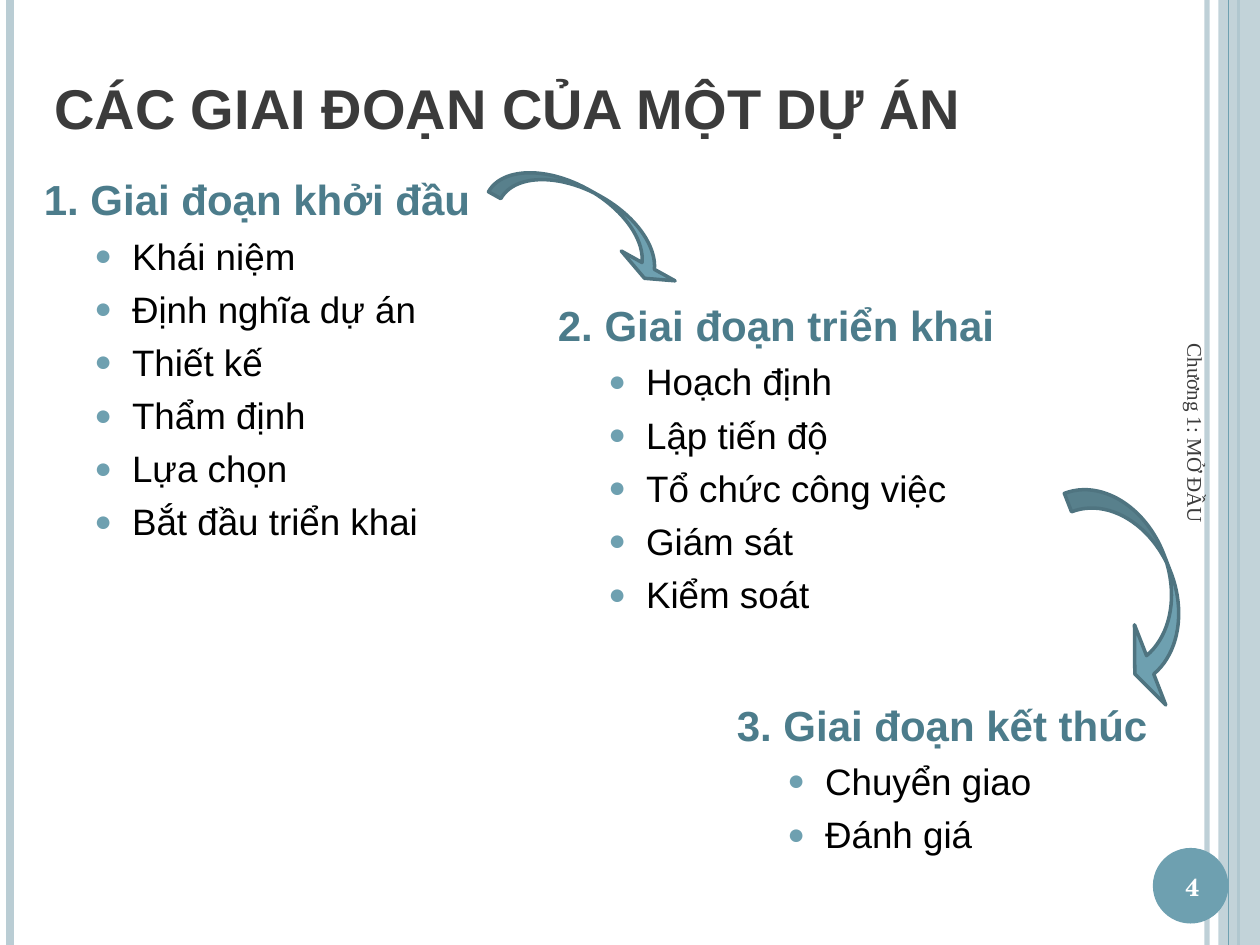
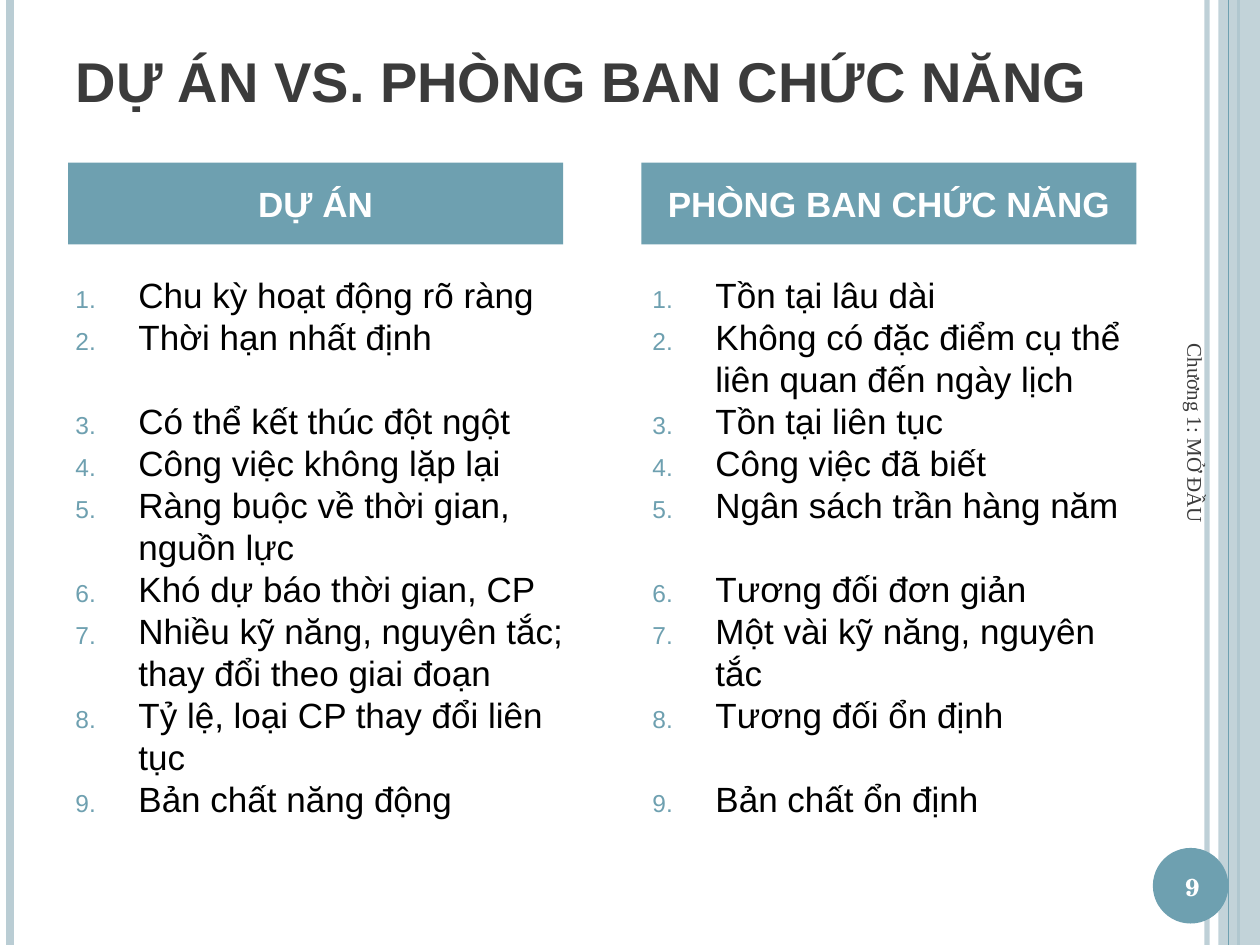
import pptx
import pptx.dml.color
import pptx.enum.shapes
import pptx.enum.text
import pptx.oxml
import pptx.oxml.ns
import pptx.util
from lxml import etree

Inches = pptx.util.Inches
Pt = pptx.util.Pt
RGBColor = pptx.dml.color.RGBColor
MSO_SHAPE = pptx.enum.shapes.MSO_SHAPE
ANCHOR = pptx.enum.text.MSO_ANCHOR
ALIGN = pptx.enum.text.PP_ALIGN
qn = pptx.oxml.ns.qn

TEAL = RGBColor(0x6E, 0xA0, 0xB0)
DARK_TEAL = RGBColor(0x4C, 0x7C, 0x8B)
ARROW_EDGE = RGBColor(0x4F, 0x74, 0x80)
PALE_BLUE = RGBColor(0xBA, 0xCD, 0xD4)
CHARCOAL = RGBColor(0x3B, 0x3B, 0x3B)
BLACK = RGBColor(0, 0, 0)
WHITE = RGBColor(0xFF, 0xFF, 0xFF)

CHAPTER = "Chương 1: MỞ ĐẦU"

PHASES_TITLE = "CÁC GIAI ĐOẠN CỦA MỘT DỰ ÁN"
PHASES = [
    ("1. Giai đoạn khởi đầu", (0.25, 1.33, 4, 5.25),
     ["Khái niệm", "Định nghĩa dự án", "Thiết kế", "Thẩm định", "Lựa chọn", "Bắt đầu triển khai"]),
    ("2. Giai đoạn triển khai", (4.33, 2.33, 4, 2.83),
     ["Hoạch định", "Lập tiến độ", "Tổ chức công việc", "Giám sát", "Kiểm soát"]),
    ("3. Giai đoạn kết thúc", (5.75, 5.5, 3.67, 1.92),
     ["Chuyển giao", "Đánh giá"]),
]
PHASE_ARROWS = [((4.5, 0.92, 0.4, 1.66), 299), ((8.77, 3.75, 0.56, 1.88), 338.7)]
ARROW_ADJUSTMENTS = (0.28, 1.22, 0.25)

COMPARISON_TITLE = "DỰ ÁN VS. PHÒNG BAN CHỨC NĂNG"
COMPARISON = [
    {"heading": "DỰ ÁN", "heading_left": 0.54, "list_box": (0.5, 2.12, 4.08, 4.8),
     "gap_before": {3},
     "items": ["Chu kỳ hoạt động rõ ràng", "Thời hạn nhất định", "Có thể kết thúc đột ngột",
               "Công việc không lặp lại", "Ràng buộc về thời gian, nguồn lực",
               "Khó dự báo thời gian, CP", "Nhiều kỹ năng, nguyên tắc; thay đổi theo giai đoạn",
               "Tỷ lệ, loại CP thay đổi liên tục", "Bản chất năng động"]},
    {"heading": "PHÒNG BAN CHỨC NĂNG", "heading_left": 5.09, "list_box": (5.08, 2.12, 4, 4.8),
     "gap_before": {6, 9},
     "items": ["Tồn tại lâu dài", "Không có đặc điểm cụ thể liên quan đến ngày lịch",
               "Tồn tại liên tục", "Công việc đã biết", "Ngân sách trần hàng năm",
               "Tương đối đơn giản", "Một vài kỹ năng, nguyên tắc",
               "Tương đối ổn định", "Bản chất ổn định"]},
]
LIST_LINE = Pt(24)


def inches(box):
    return [Inches(length) for length in box]


def style_runs(paragraph, size, color, bold=False, name="Arial"):
    for run in paragraph.runs:
        run.font.name = name
        run.font.size = Pt(size)
        run.font.bold = bold
        run.font.color.rgb = color


def set_indent(paragraph, margin, hanging):
    properties = paragraph._p.get_or_add_pPr()
    properties.set("marL", str(Inches(margin)))
    properties.set("indent", str(-Inches(hanging)))
    return properties


def add_bullet(properties, percent, tag, **attributes):
    color = etree.SubElement(properties, qn("a:buClr"))
    etree.SubElement(color, qn("a:srgbClr"), val=str(TEAL))
    etree.SubElement(properties, qn("a:buSzPct"), val=str(percent * 1000))
    etree.SubElement(properties, qn("a:buFont"), typeface="Arial")
    etree.SubElement(properties, qn(tag), **attributes)


def set_opacity(element, percent):
    color = next(element.iter(qn("a:srgbClr")))
    etree.SubElement(color, qn("a:alpha"), val=str(percent * 1000))


def add_rule(slide, left, color, width):
    rule = slide.shapes.add_connector(
        pptx.enum.shapes.MSO_CONNECTOR.STRAIGHT, Inches(left), 0, Inches(left), Inches(7.5))
    rule.line.color.rgb = color
    rule.line.width = Pt(width)
    etree.SubElement(rule._element.spPr, qn("a:effectLst"))
    return rule


def add_filled(slide, kind, box, edge=None):
    shape = slide.shapes.add_shape(kind, *inches(box))
    shape.shadow.inherit = False
    shape.fill.solid()
    shape.fill.fore_color.rgb = TEAL
    if edge is None:
        shape.line.fill.background()
    else:
        shape.line.color.rgb = edge
        shape.line.width = Pt(2)
    return shape


def add_text_box(slide, box, anchor=ANCHOR.TOP):
    text_box = slide.shapes.add_textbox(*inches(box))
    text_box.text_frame.word_wrap = True
    text_box.text_frame.vertical_anchor = anchor
    return text_box


def add_paragraphs(text_frame, texts):
    text_frame.text = "\n".join(texts)
    return text_frame.paragraphs


def add_base_slide(presentation, title_text, title_box, number):
    slide = presentation.slides.add_slide(presentation.slide_layouts[5])
    set_opacity(add_rule(slide, 9.58, PALE_BLUE, 3)._element, 93)
    add_rule(slide, 0.08, PALE_BLUE, 4.5)
    add_rule(slide, 9.83, TEAL, 1.5)
    band = add_filled(slide, MSO_SHAPE.RECTANGLE, (9.67, 0, 0.33, 7.5))
    band.fill.fore_color.rgb = PALE_BLUE
    set_opacity(band._element, 87)
    add_rule(slide, 9.75, TEAL, 0.75)
    add_filled(slide, MSO_SHAPE.OVAL, (9.15, 6.73, 0.6, 0.6))

    title = slide.shapes.title
    title.left, title.top, title.width, title.height = inches(title_box)
    title.text_frame.text = title_text
    title.text_frame.word_wrap = True
    title.text_frame.auto_size = pptx.enum.text.MSO_AUTO_SIZE.NONE
    title.text_frame.vertical_anchor = ANCHOR.BOTTOM
    title.text_frame.paragraphs[0].alignment = ALIGN.LEFT
    style_runs(title.text_frame.paragraphs[0], 32, CHARCOAL, True)

    footer = add_text_box(slide, (7.74, 4.18, 3.5, 0.4), ANCHOR.MIDDLE)
    footer.rotation = 90
    footer.text_frame.text = CHAPTER
    style_runs(footer.text_frame.paragraphs[0], 12, CHARCOAL, name="Times New Roman")

    page = add_text_box(slide, (9.13, 6.75, 0.67, 0.57), ANCHOR.MIDDLE)
    page.text_frame.text = str(number)
    page.text_frame.paragraphs[0].alignment = ALIGN.CENTER
    style_runs(page.text_frame.paragraphs[0], 14, WHITE, True, "TeX Gyre Schola")
    return slide


def add_phase(slide, heading, box, steps):
    text_frame = add_text_box(slide, box).text_frame
    first, *rest = add_paragraphs(text_frame, [heading, *steps])
    set_indent(first, 0.3, 0.3)
    style_runs(first, 24, DARK_TEAL, True)
    for paragraph in rest:
        paragraph.level = 1
        add_bullet(set_indent(paragraph, 0.7, 0.3), 80, "a:buChar", char="●")
        paragraph.space_before = Pt(5.2)
        style_runs(paragraph, 21, BLACK)


def add_comparison_column(slide, column):
    text_frame = add_text_box(slide, column["list_box"]).text_frame
    for number, paragraph in enumerate(add_paragraphs(text_frame, column["items"]), 1):
        add_bullet(set_indent(paragraph, 0.5, 0.5), 70, "a:buAutoNum", type="arabicPeriod")
        if number in column["gap_before"]:
            paragraph.space_before = LIST_LINE
        style_runs(paragraph, 20, BLACK)

    header = add_filled(slide, MSO_SHAPE.RECTANGLE, (column["heading_left"], 1.29, 3.93, 0.65))
    header.text_frame.text = column["heading"]
    header.text_frame.vertical_anchor = ANCHOR.MIDDLE
    header.text_frame.paragraphs[0].alignment = ALIGN.CENTER
    style_runs(header.text_frame.paragraphs[0], 20, WHITE, True)


def main():
    presentation = pptx.Presentation()
    presentation.slide_width = Inches(10)
    presentation.slide_height = Inches(7.5)

    phases_slide = add_base_slide(presentation, PHASES_TITLE, (0.33, 0.3, 8.67, 0.87), 4)
    for heading, box, steps in PHASES:
        add_phase(phases_slide, heading, box, steps)
    for box, rotation in PHASE_ARROWS:
        arrow = add_filled(phases_slide, MSO_SHAPE.CURVED_LEFT_ARROW, box, ARROW_EDGE)
        arrow.rotation = rotation
        for index, value in enumerate(ARROW_ADJUSTMENTS):
            arrow.adjustments[index] = value

    comparison_slide = add_base_slide(presentation, COMPARISON_TITLE, (0.5, 0, 8.42, 0.95), 9)
    for column in COMPARISON:
        add_comparison_column(comparison_slide, column)

    presentation.save("out.pptx")


if __name__ == "__main__":
    main()
